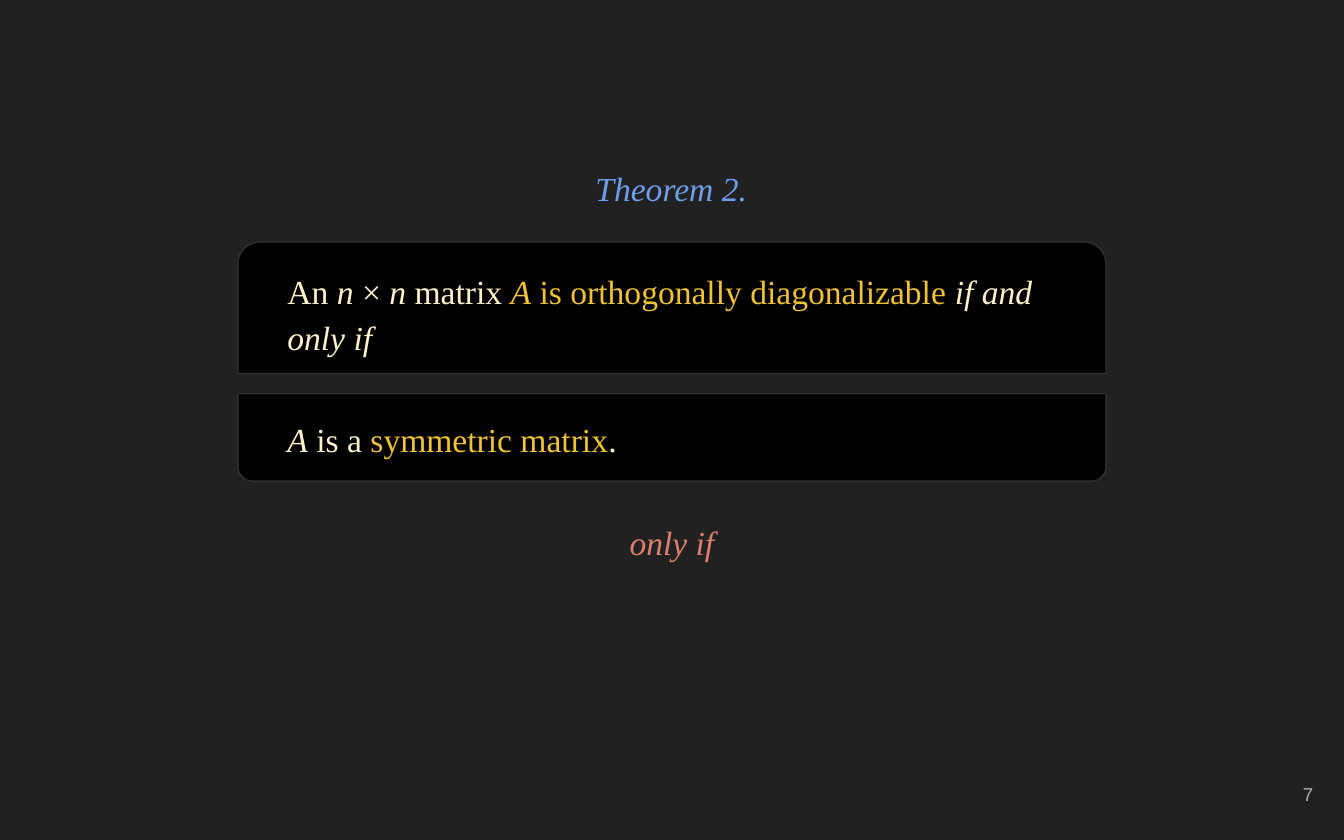
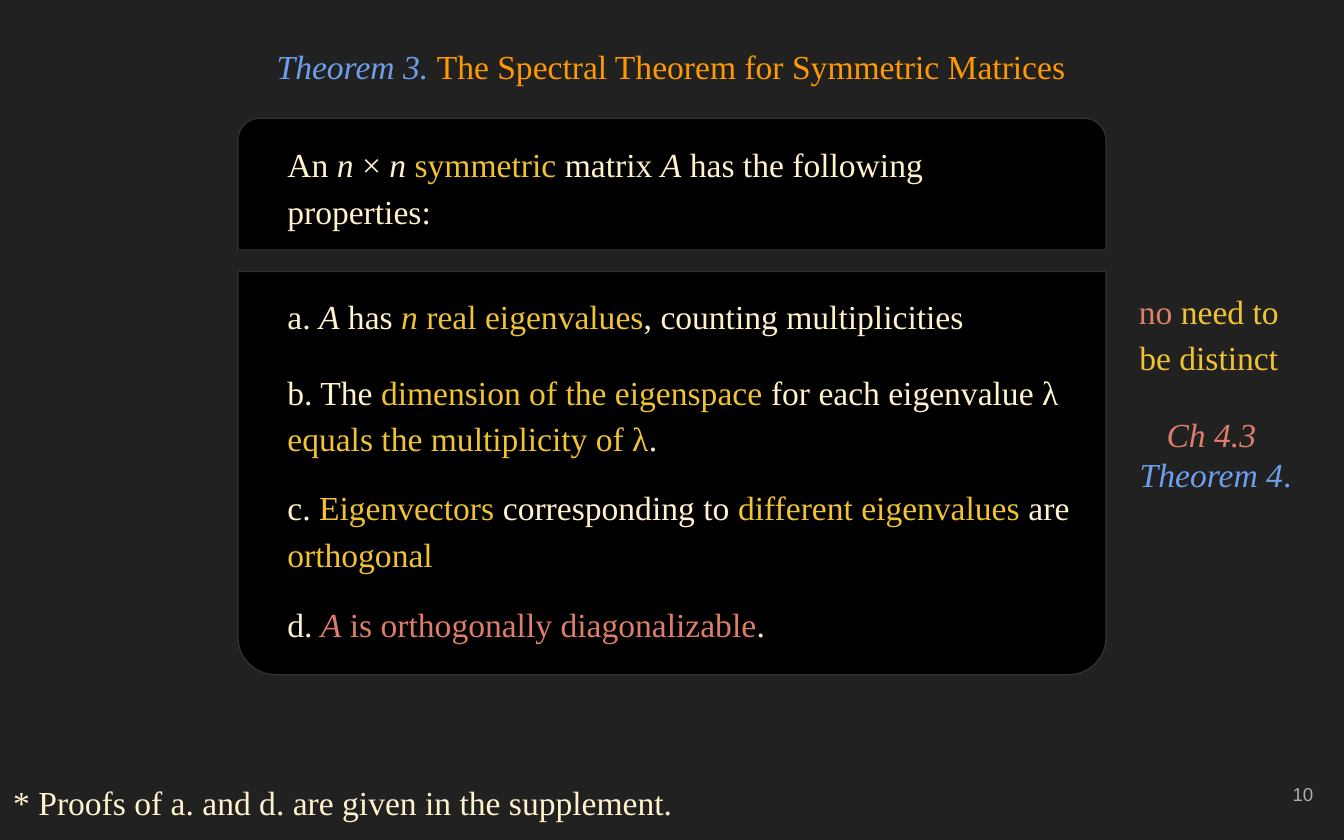
from dataclasses import dataclass
from typing import NamedTuple

from pptx import Presentation
from pptx.dml.color import RGBColor
from pptx.enum.shapes import MSO_SHAPE
from pptx.enum.text import MSO_ANCHOR, PP_ALIGN
from pptx.shapes.shapetree import GroupShapes, SlideShapes
from pptx.slide import Slide
from pptx.util import Inches, Pt

ROUNDED_TOP = MSO_SHAPE.ROUND_2_SAME_RECTANGLE
LEFT, CENTER, RIGHT = PP_ALIGN.LEFT, PP_ALIGN.CENTER, PP_ALIGN.RIGHT
TOP, MIDDLE = MSO_ANCHOR.TOP, MSO_ANCHOR.MIDDLE

COLORS = {
    "background": "212121",
    "card": "000000",
    "border": "303030",
    "body": "FFF2CC",
    "key": "F1C232",
    "alert": "DD7E6B",
    "theorem": "6D9EEB",
    "title": "FF9900",
    "number": "ADADAD",
}
SERIF, SANS = "Times New Roman", "Arial"
CARD_LEFT, CARD_WIDTH = 1.77, 6.46
TEXT_LEFT, ITEM_WIDTH = 2.04, 6.03
HEAD_HEIGHT = 0.98


class Span(NamedTuple):
    text: str
    color: str = "body"
    italic: bool = False


class Area(NamedTuple):
    left: float
    top: float
    width: float
    height: float

    def lengths(self) -> list[int]:
        return [Inches(value) for value in self]


@dataclass(frozen=True)
class TextStyle:
    align: PP_ALIGN = LEFT
    anchor: MSO_ANCHOR = TOP
    font: str = SERIF
    size: int = 18
    loose: bool = True


@dataclass(frozen=True)
class Card:
    top: float
    height: float
    text_area: Area
    spans: list[Span]
    rounding: float = 0.167
    flipped: bool = False


BODY = TextStyle()
REMARK = TextStyle(align=CENTER)
TITLE = TextStyle(align=CENTER, anchor=MIDDLE, loose=False)
NUMBER = TextStyle(align=RIGHT, anchor=MIDDLE, font=SANS, size=10, loose=False)


def rgb(name: str) -> RGBColor:
    return RGBColor.from_string(COLORS[name])


def add_text(shapes: SlideShapes | GroupShapes, area: Area,
             lines: list[list[Span]], style: TextStyle = BODY) -> None:
    frame = shapes.add_textbox(*area.lengths()).text_frame
    frame.word_wrap = True
    frame.vertical_anchor = style.anchor
    frame.margin_left = frame.margin_right = Inches(0.1)
    frame.margin_top = frame.margin_bottom = Inches(0.1)
    for index, spans in enumerate(lines):
        para = frame.add_paragraph() if index else frame.paragraphs[0]
        para.alignment = style.align
        if style.loose:
            para.line_spacing = 1.15
            para.space_after = Pt(10)
        for span in spans:
            run = para.add_run()
            run.text = span.text
            run.font.name = style.font
            run.font.size = Pt(style.size)
            run.font.italic = span.italic
            run.font.color.rgb = rgb(span.color)


def add_card(page: Slide, card: Card) -> None:
    group = page.shapes.add_group_shape()
    area = Area(CARD_LEFT, card.top, CARD_WIDTH, card.height)
    panel = group.shapes.add_shape(ROUNDED_TOP, *area.lengths())
    panel.adjustments[0] = card.rounding
    panel.adjustments[1] = 0
    panel.rotation = 180 if card.flipped else 0
    panel.shadow.inherit = False
    panel.fill.solid()
    panel.fill.fore_color.rgb = rgb("card")
    panel.line.color.rgb = rgb("border")
    panel.line.width = Pt(0.75)
    add_text(group.shapes, card.text_area, [card.spans])


def add_page(deck: Presentation, number: int, title_top: float,
             title: list[Span], cards: list[Card]) -> Slide:
    page = deck.slides.add_slide(deck.slide_layouts[6])
    page.background.fill.solid()
    page.background.fill.fore_color.rgb = rgb("background")
    add_text(page.shapes, Area(0.48, title_top, 9.03, 0.58), [title], TITLE)
    for card in cards:
        add_card(page, card)
    add_text(page.shapes, Area(9.27, 5.67, 0.6, 0.48),
             [[Span(str(number), "number")]], NUMBER)
    return page


def add_diagonalization_page(deck: Presentation) -> None:
    claim = Card(1.8, HEAD_HEIGHT, Area(TEXT_LEFT, 1.87, 5.93, 0.77), [
        Span("An "), Span("n", italic=True), Span(" × "),
        Span("n ", italic=True), Span("matrix "), Span("A", "key", True),
        Span(" is orthogonally diagonalizable ", "key"),
        Span("if and only if", italic=True),
    ])
    condition = Card(2.93, 0.65, Area(TEXT_LEFT, 2.97, 5.93, 0.54), [
        Span("A", italic=True), Span(" is a "),
        Span("symmetric matrix", "key"), Span("."),
    ], flipped=True)
    page = add_page(deck, 7, 1.11, [Span("Theorem 2.", "theorem", True)],
                    [claim, condition])
    add_text(page.shapes, Area(4.21, 3.74, 1.58, 0.76),
             [[Span("only if", "alert", True)]], REMARK)


def add_spectral_page(deck: Presentation) -> None:
    premise = Card(0.88, HEAD_HEIGHT, Area(TEXT_LEFT, 0.93, 5.93, 0.77), [
        Span("An "), Span("n", italic=True), Span(" × "),
        Span("n ", italic=True), Span("symmetric ", "key"),
        Span("matrix "), Span("A", italic=True),
        Span(" has the following properties:"),
    ])
    properties = Card(2.02, 3, Area(TEXT_LEFT, 2.06, 5.93, 0.63), [
        Span("a. "), Span("A", italic=True), Span(" has "),
        Span("n", "key", True), Span(" real eigenvalues", "key"),
        Span(", counting multiplicities"),
    ], rounding=0.093, flipped=True)
    title = [
        Span("Theorem 3. ", "theorem", True),
        Span("The Spectral Theorem for Symmetric Matrices", "title"),
    ]
    page = add_page(deck, 10, 0.2, title, [premise, properties])

    items = [
        (2.62, 0.87, [
            Span("b. The "), Span("dimension of the eigenspace", "key"),
            Span(" for each eigenvalue λ "),
            Span("equals the multiplicity of λ", "key"), Span("."),
        ]),
        (3.48, 0.87, [
            Span("c. "), Span("Eigenvectors ", "key"),
            Span("corresponding to "), Span("different eigenvalues", "key"),
            Span(" are "), Span("orthogonal", "key"),
        ]),
        (4.35, 0.51, [
            Span("d. "), Span("A", "alert", True),
            Span(" is orthogonally diagonalizable", "alert"), Span("."),
        ]),
    ]
    for top, height, spans in items:
        add_text(page.shapes, Area(TEXT_LEFT, top, ITEM_WIDTH, height), [spans])

    add_text(page.shapes, Area(8.31, 3.09, 1.47, 0.58), [
        [Span("Ch 4.3 ", "alert", True)],
        [Span("Theorem 4", "theorem", True), Span(".", "theorem")],
    ], TITLE)
    add_text(page.shapes, Area(8.26, 2.02, 1.47, 0.87),
             [[Span("no", "alert"), Span(" need to be distinct", "key")]],
             REMARK)
    add_text(page.shapes, Area(0, 5.67, 5.16, 0.58),
             [[Span("* Proofs of a. and d. are given in the supplement.")]])


def main() -> None:
    deck = Presentation()
    deck.slide_width = Inches(10)
    deck.slide_height = Inches(6.25)
    add_diagonalization_page(deck)
    add_spectral_page(deck)
    deck.save("out.pptx")


if __name__ == "__main__":
    main()
